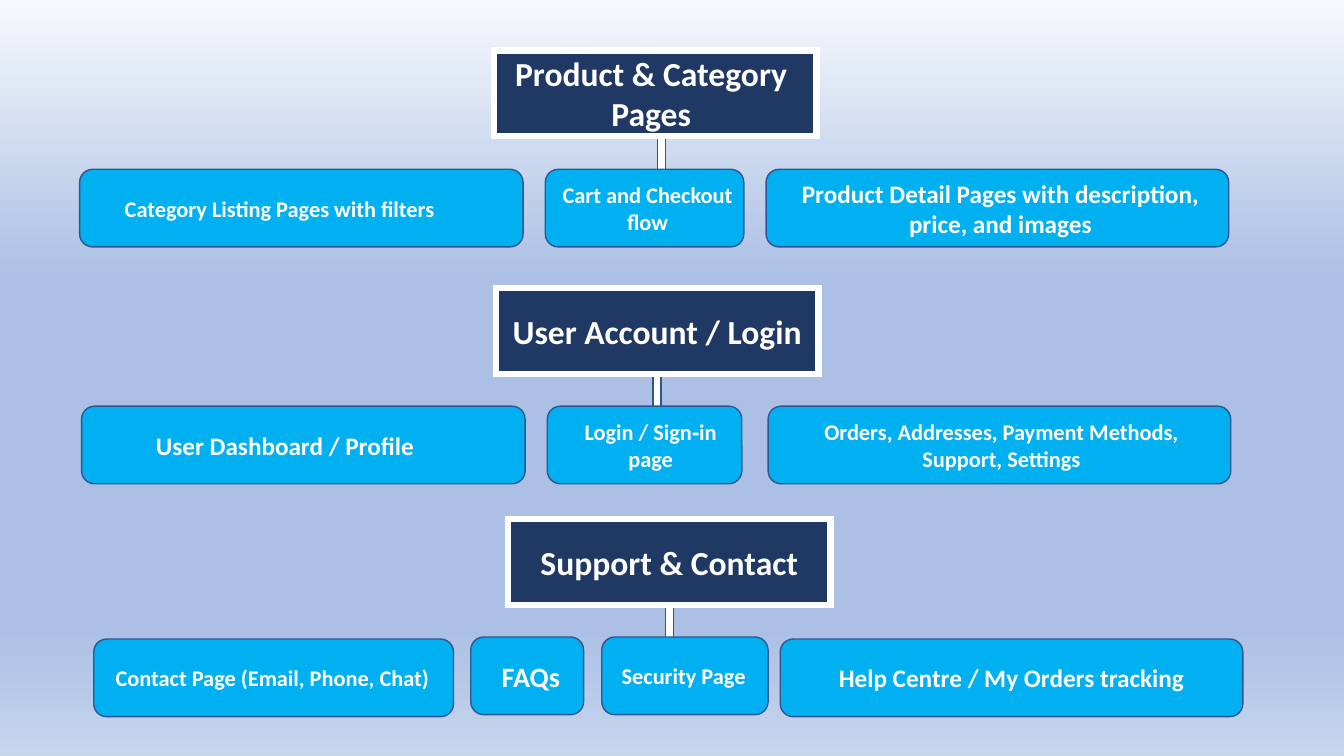
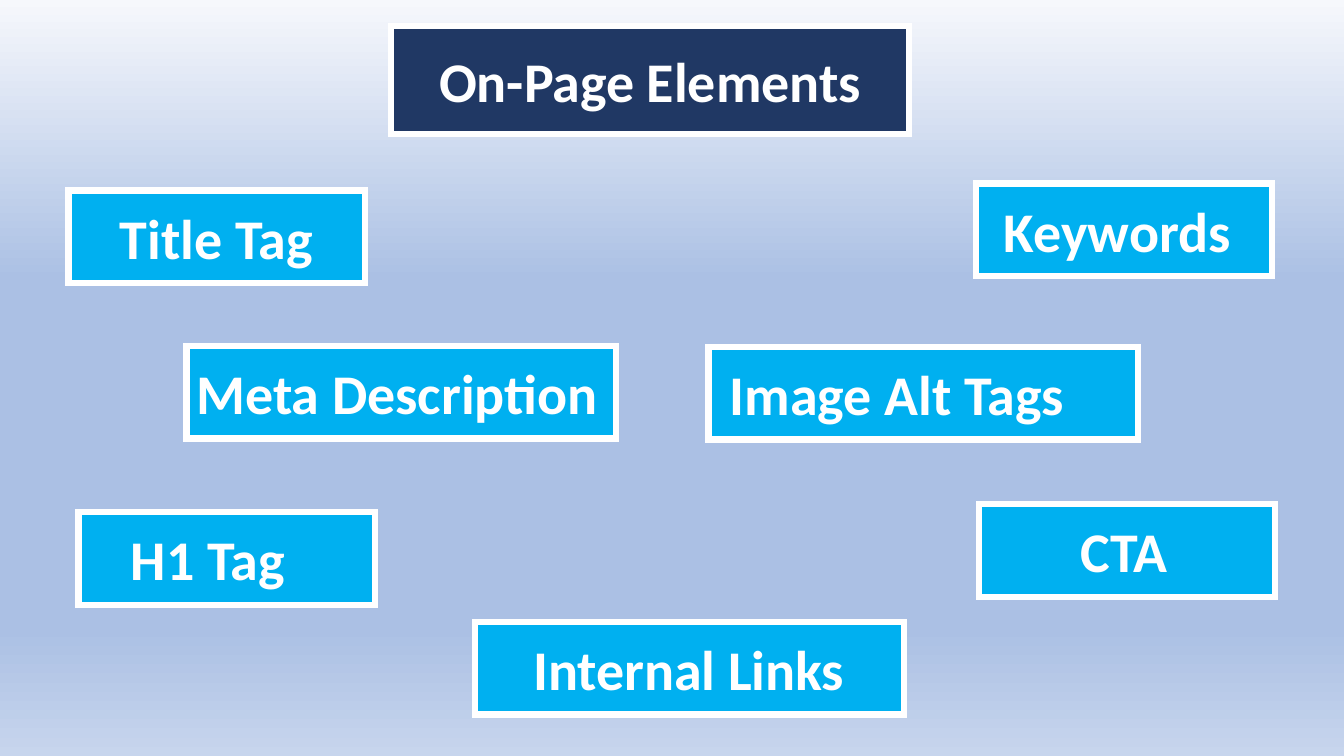
from dataclasses import dataclass

import lxml.etree
import pptx
import pptx.dml.color
import pptx.enum.shapes
import pptx.enum.text
import pptx.oxml.ns
import pptx.util

PX = 9144  # EMU, 100 px to the inch
SHAPES = pptx.enum.shapes.MSO_SHAPE
CENTER = pptx.enum.text.PP_ALIGN.CENTER
LEFT = pptx.enum.text.PP_ALIGN.LEFT


@dataclass(frozen=True)
class Theme:
    font: str = "Calibri"
    navy: str = "203864"
    sky: str = "00B0F0"
    outline: str = "325491"
    white: str = "FFFFFF"
    backdrop: tuple = ((0, "F6F8FC"), (37, "ABC0E4"), (83, "ABC0E4"), (100, "C7D5ED"))
    thin: float = 1
    frame: float = 4.5
    small: int = 16
    medium: int = 18
    large: int = 20
    heading: int = 24
    display: int = 40


THEME = Theme()
HEADING_W, HEADING_H = 320, 85
CARD_H = 77
STEM_W, STEM_H, STEM_DROP = 8, 90, 56
TAG_H = 92
NARROW, WIDE = 294, 426

# Heading, its left, top and text insets, stem left; then the pages below it:
# text, left, top, width, size, alignment, text insets (left, right)
SECTIONS = [
    ("Product & Category Pages", 490, 50, (0, 8), 652, [
        ("Category Listing Pages with filters", 79, 168, 440, THEME.small, LEFT, (41, 0)),
        ("Cart and Checkout flow", 541, 168, 197, THEME.small, CENTER, (12, 6)),
        ("Product Detail Pages with description, price, and images",
         760, 168, 459, THEME.medium, CENTER, (27, 21)),
    ]),
    ("User Account / Login", 492, 286, (0, 0), 648, [
        ("User Dashboard / Profile", 81, 403, 440, THEME.medium, LEFT, (70, 0)),
        ("Login / Sign‑in page", 543, 403, 193, THEME.small, CENTER, (12, 0)),
        ("Orders, Addresses, Payment Methods, Support, Settings",
         762, 403, 459, THEME.small, CENTER, (26, 22)),
    ]),
    ("Support & Contact", 504, 515, (0, 0), 660, [
        ("Contact Page (Email, Phone, Chat)", 93, 634, 357, THEME.small, LEFT, (18, 0)),
        ("FAQs", 467, 632, 112, THEME.large, LEFT, (27, 0)),
        ("Security Page", 597, 632, 165, THEME.small, LEFT, (16, 0)),
        ("Help Centre / My Orders tracking", 774, 634, 459, THEME.medium, CENTER, (24, 24)),
    ]),
]

# Text, left, top, width, left inset
TAGS = [
    ("Title Tag", 68, 189, NARROW, 51),
    ("Meta Description", 185, 343, WIDE, 10),
    ("H1 Tag", 78, 508, NARROW, 52),
    ("Keywords", 968, 182, NARROW, 28),
    ("Image Alt Tags", 703, 344, WIDE, 21),
    ("CTA", 971, 500, NARROW, 101),
    ("Internal Links", 471, 617, WIDE, 58),
]


def rgb(value):
    return pptx.dml.color.RGBColor.from_string(value)


def set_backdrop(master):
    """Give every slide the vertical gradient through the master."""
    fill = master.background.fill
    fill.gradient()
    fill.gradient_angle = 270
    qn = pptx.oxml.ns.qn
    stops = master.element.cSld.find(".//" + qn("a:gsLst"))
    for stop in list(stops):
        stops.remove(stop)
    for percent, color in THEME.backdrop:
        stop = lxml.etree.SubElement(stops, qn("a:gs"), pos=str(percent * 1000))
        lxml.etree.SubElement(stop, qn("a:srgbClr"), val=color)


def add_block(slide, kind, box, fill, line, line_width):
    block = slide.shapes.add_shape(kind, *(value * PX for value in box))
    block.shadow.inherit = False
    block.fill.solid()
    block.fill.fore_color.rgb = rgb(fill)
    block.line.color.rgb = rgb(line)
    block.line.width = pptx.util.Pt(line_width)
    return block


def write(block, text, size, align=CENTER, insets=(0, 0)):
    frame = block.text_frame
    frame.text = text
    frame.word_wrap = True
    frame.vertical_anchor = pptx.enum.text.MSO_ANCHOR.MIDDLE
    frame.margin_left, frame.margin_right = (inset * PX for inset in insets)
    frame.margin_top = frame.margin_bottom = 0
    paragraph = frame.paragraphs[0]
    paragraph.alignment = align
    font = paragraph.runs[0].font
    font.name = THEME.font
    font.size = pptx.util.Pt(size)
    font.bold = True
    font.color.rgb = rgb(THEME.white)


def add_framed(slide, box, fill, text, size, align=CENTER, insets=(0, 0)):
    """Add a rectangle with a heavy, sharp-cornered white frame."""
    block = add_block(slide, SHAPES.RECTANGLE, box, fill, THEME.white, THEME.frame)
    outline = block.element.spPr.get_or_add_ln()
    lxml.etree.SubElement(outline, pptx.oxml.ns.qn("a:miter"), lim="800000")
    write(block, text, size, align, insets)


def add_section(slide, heading, left, top, insets, stem_left, pages):
    add_block(slide, SHAPES.RECTANGLE, (stem_left, top + STEM_DROP, STEM_W, STEM_H),
              THEME.white, THEME.outline, THEME.thin)
    add_framed(slide, (left, top, HEADING_W, HEADING_H), THEME.navy,
               heading, THEME.heading, insets=insets)
    for text, page_left, page_top, width, size, align, page_insets in pages:
        card = add_block(slide, SHAPES.ROUNDED_RECTANGLE,
                         (page_left, page_top, width, CARD_H),
                         THEME.sky, THEME.outline, THEME.thin)
        write(card, text, size, align, page_insets)


def add_site_map(slide):
    for section in SECTIONS:
        add_section(slide, *section)


def add_on_page_elements(slide):
    add_framed(slide, (388, 26, 514, 107), THEME.navy, "On-Page Elements", THEME.display)
    for text, left, top, width, inset in TAGS:
        add_framed(slide, (left, top, width, TAG_H), THEME.sky,
                   text, THEME.display, LEFT, (inset, 0))


def main():
    deck = pptx.Presentation()
    deck.slide_width, deck.slide_height = 12192000, 750 * PX
    set_backdrop(deck.slide_master)
    blank = deck.slide_layouts[6]
    for build in (add_site_map, add_on_page_elements):
        build(deck.slides.add_slide(blank))
    deck.save("out.pptx")


if __name__ == "__main__":
    main()
